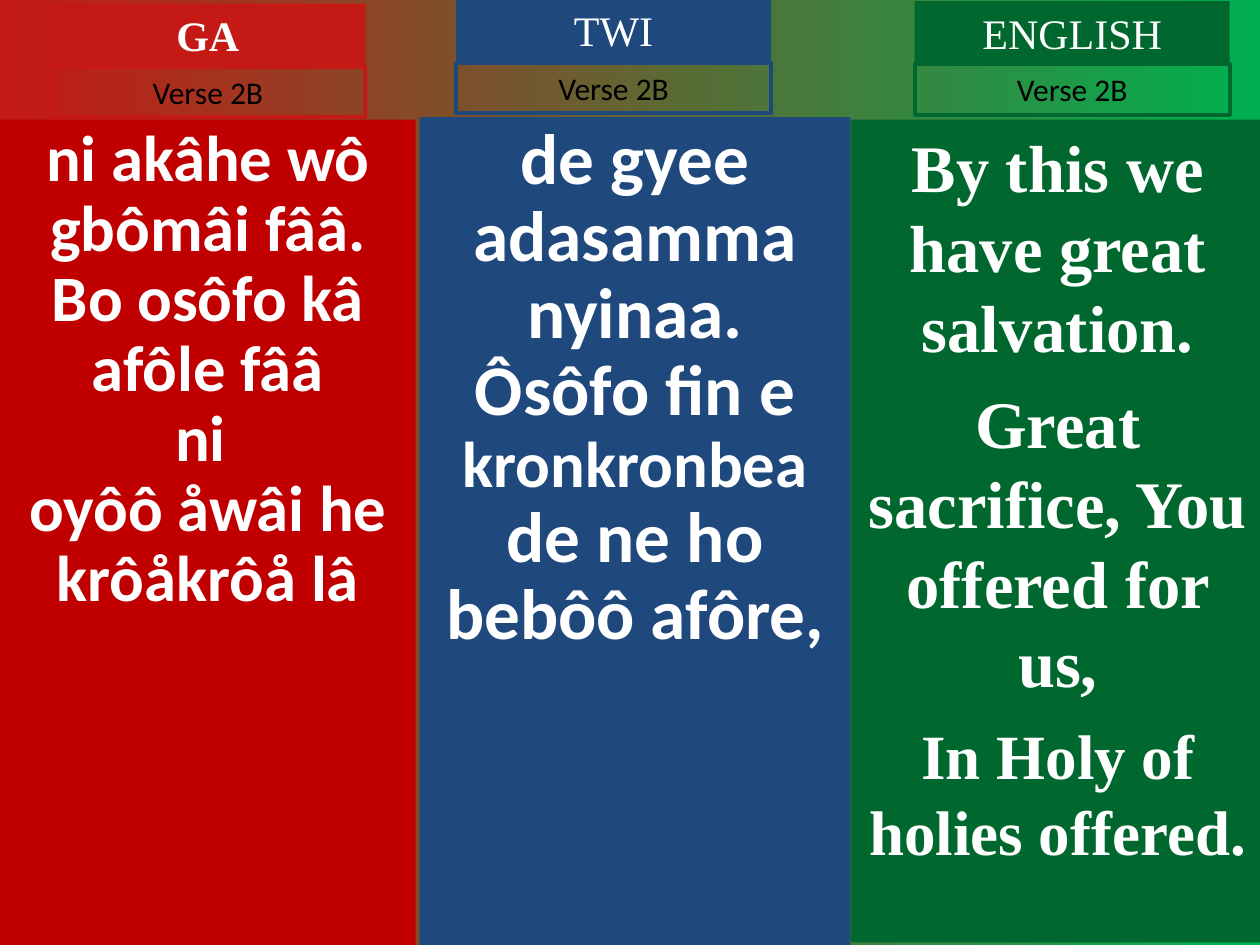
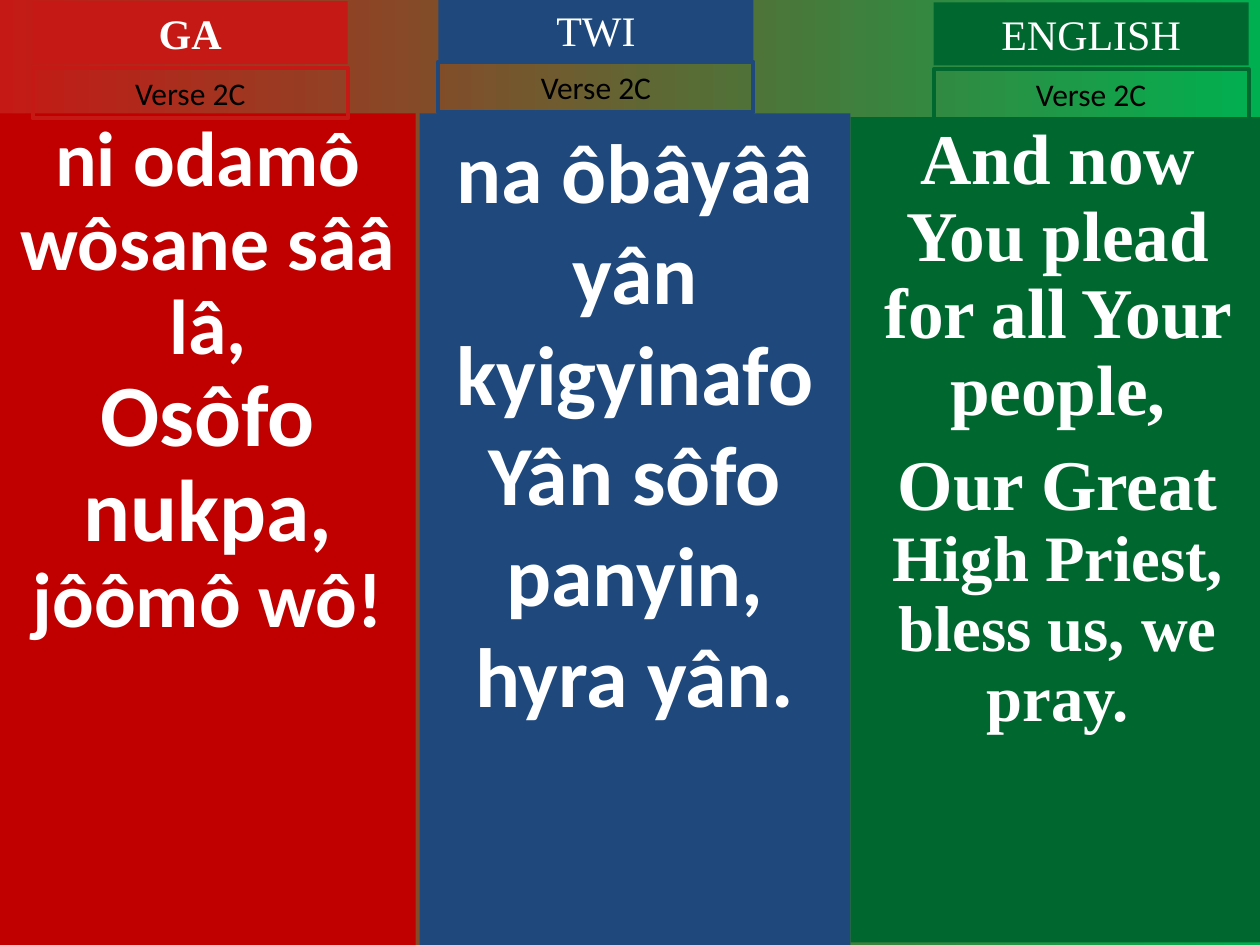
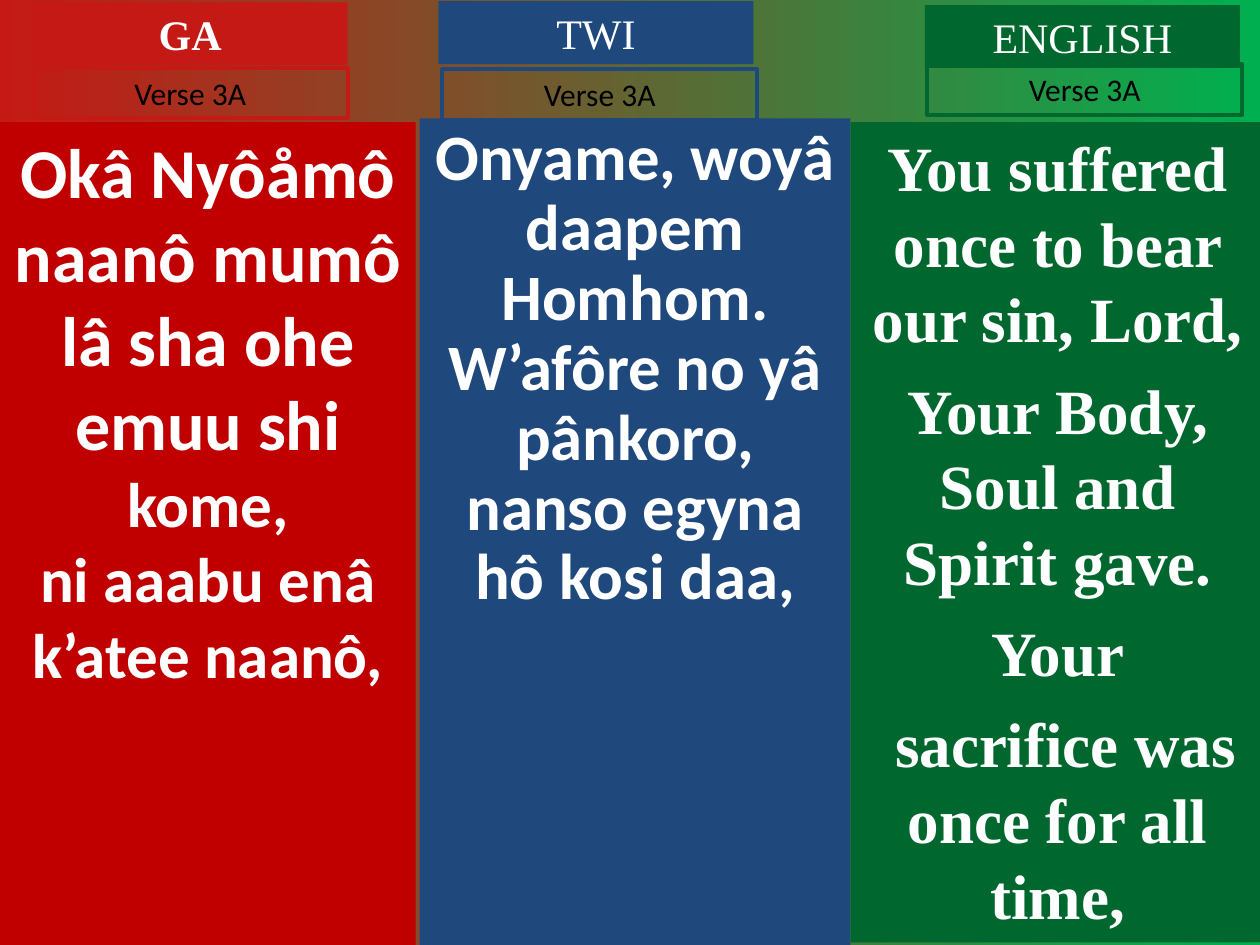
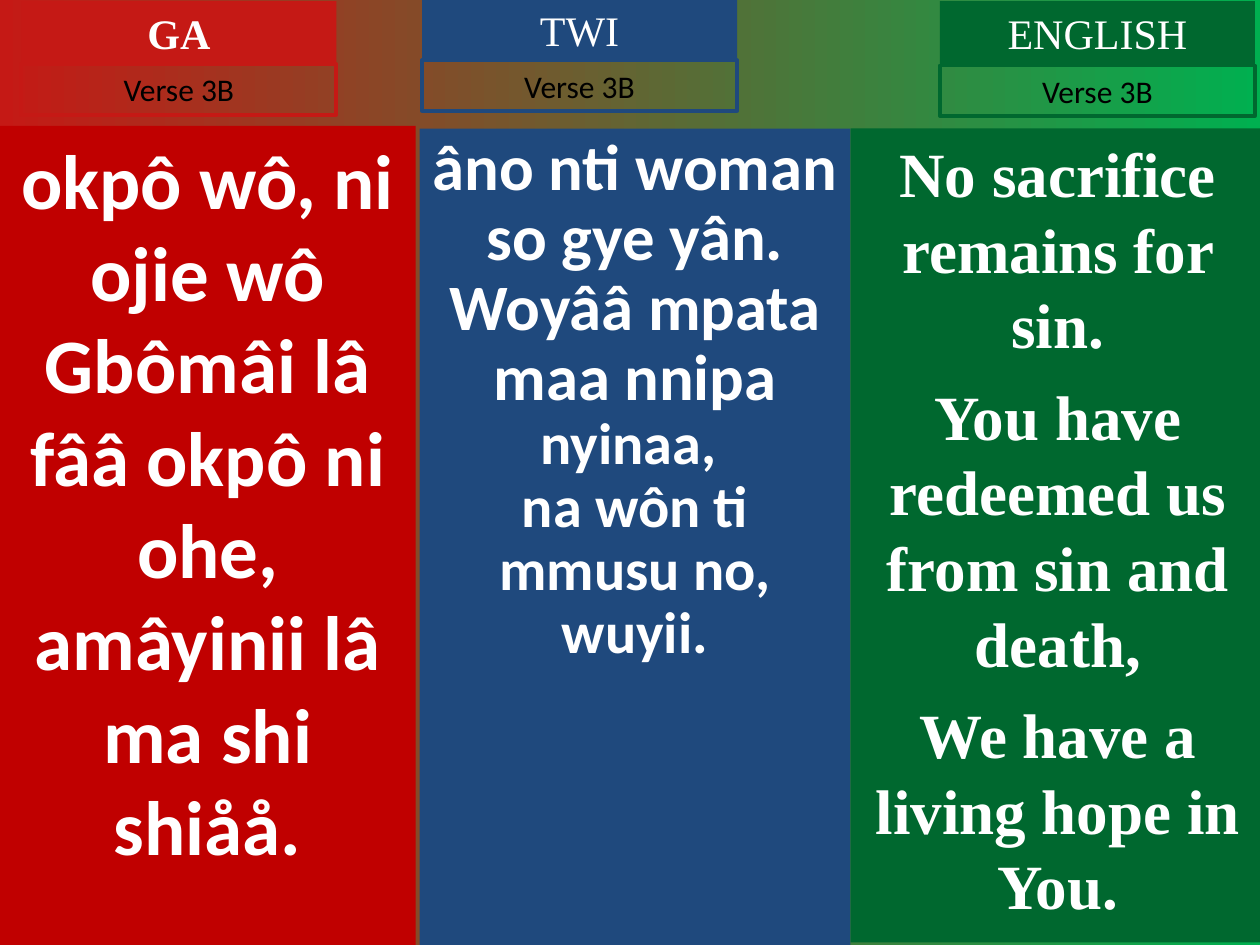
from dataclasses import dataclass

import pptx
import pptx.dml.color
import pptx.enum.shapes
import pptx.enum.text
import pptx.util

Inches = pptx.util.Inches
Pt = pptx.util.Pt
RGBColor = pptx.dml.color.RGBColor

RED = RGBColor(0xC5, 0x19, 0x15)
DARK_RED = RGBColor(0xC0, 0x00, 0x00)
BLUE = RGBColor(0x1F, 0x49, 0x7D)
GREEN = RGBColor(0x00, 0x68, 0x2F)
BRIGHT_GREEN = RGBColor(0x00, 0xB0, 0x50)
WHITE = RGBColor(0xFF, 0xFF, 0xFF)
BLACK = RGBColor(0x00, 0x00, 0x00)
SANS = "Calibri"
SERIF = "Times New Roman"
LABEL_WIDTH = 2.5
TAG_HEIGHT = 0.5
VERSE_HEIGHT = 0.4


@dataclass(frozen=True)
class Language:
    name: str
    left: float
    width: float
    bottom: float
    body_color: RGBColor
    label_color: RGBColor
    body_font: str
    bold_tag: bool = False
    space_ratio: float = 0


@dataclass(frozen=True)
class Words:
    text: str
    size: float


@dataclass(frozen=True)
class Column:
    body_top: float
    tag: tuple[float, float]
    verse: tuple[float, float]
    line_spacing: float
    paragraphs: list[list[Words]]


@dataclass(frozen=True)
class Verse:
    label: str
    columns: list[Column]


LANGUAGES = [
    Language("GA", 0, 3.3, 7.5, DARK_RED, RED, SANS, bold_tag=True),
    Language("TWI", 3.33, 3.42, 7.5, BLUE, BLUE, SANS),
    Language("ENGLISH", 6.75, 3.29, 7.48, GREEN, GREEN, SERIF, space_ratio=0.25),
]


def lines(size: float, *texts: str) -> list[list[Words]]:
    return [[Words(text, size)] for text in texts]


VERSES = [
    Verse("Verse 2B", [
        Column(0.95, (0.4, 0.03), (0.4, 0.53), 0.9, lines(
            37, "ni akâhe wô gbômâi fââ.", "Bo osôfo kâ afôle fââ", "ni ",
            "oyôô åwâi he krôåkrôå lâ")),
        Column(0.93, (3.62, -0.01), (3.62, 0.5), 0.9, [
            [Words("de gyee adasamma nyinaa.", 40.7)],
            [Words("Ôsôfo fin e ", 40.7), Words("kronkronbea", 37)],
            [Words("de ne ho bebôô afôre,", 40.7)]]),
        Column(0.95, (7.26, 0.01), (7.26, 0.51), 1, [
            *lines(38, "By this we have great salvation.",
                   "Great sacrifice, You offered for us,"),
            *lines(36, "In Holy of holies offered.")]),
    ]),
    Verse("Verse 2C", [
        Column(0.9, (0.26, 0.01), (0.26, 0.54), 0.9, [
            [Words("ni odamô wôsane sââ lâ,", 44.4)],
            [Words("Osôfo", 50)],
            [Words("nukpa, ", 50), Words("jôômô wô!", 44.4)]]),
        Column(0.9, (3.48, -0.01), (3.48, 0.49), 1, lines(
            48, "na ôbâyââ yân kyigyinafo", "Yân sôfo", "panyin, hyra yân.")),
        Column(0.93, (7.41, 0.02), (7.41, 0.55), 0.9, [
            [Words("And now You plead for all Your people,", 40.7)],
            [Words("Our Great ", 40.7),
             Words("High Priest, bless us, we pray.", 37)]]),
    ]),
    Verse("Verse 3A", [
        Column(0.97, (0.26, 0.02), (0.26, 0.54), 1, [
            [Words("Okâ Nyôåmô naanô mumô lâ sha ohe emuu shi ", 40),
             Words("kome,", 36)],
            [Words("ni aaabu enâ k’atee naanô,", 36)]]),
        Column(0.94, (3.48, 0.01), (3.51, 0.55), 0.9, lines(
            37, "Onyame, woyâ daapem Homhom.", "W’afôre no yâ pânkoro,",
            "nanso egyna hô kosi daa,")),
        Column(0.97, (7.34, 0.04), (7.36, 0.51), 1, lines(
            36, "You suffered once to bear our sin, Lord,",
            "Your Body, Soul and Spirit gave.", "Your",
            " sacrifice was once for all time,")),
    ]),
    Verse("Verse 3B", [
        Column(1, (0.17, 0.01), (0.17, 0.51), 1, lines(
            44, "okpô wô, ni ojie wô", "Gbômâi lâ fââ okpô ni ohe,",
            "amâyinii lâ ma shi shiåå.")),
        Column(1.02, (3.35, -0.01), (3.35, 0.48), 0.9, [
            [Words("âno nti woman so gye yân.", 37)],
            [Words("Woyââ mpata maa nnipa ", 37), Words("nyinaa, ", 33.3)],
            [Words("na wôn ti mmusu no, wuyii.", 33.3)]]),
        Column(1.02, (7.46, 0.01), (7.46, 0.52), 1, lines(
            36, "No sacrifice remains for sin.",
            "You have redeemed us from sin and death,",
            "We have a living hope in You.")),
    ]),
]


def add_box(slide, left: float, top: float, width: float, height: float,
            fill: RGBColor | None = None, line: RGBColor | None = None):
    sp = slide.shapes.add_shape(
        pptx.enum.shapes.MSO_SHAPE.RECTANGLE,
        Inches(left), Inches(top), Inches(width), Inches(height))
    sp.shadow.inherit = False
    if fill is None:
        sp.fill.background()
    else:
        sp.fill.solid()
        sp.fill.fore_color.rgb = fill
    if line is None:
        sp.line.fill.background()
    else:
        sp.line.color.rgb = line
        sp.line.width = Pt(2.25)
    tf = sp.text_frame
    tf.word_wrap = True
    tf.vertical_anchor = pptx.enum.text.MSO_ANCHOR.TOP
    return tf


def write(tf, paragraphs: list[list[Words]], font: str, color: RGBColor, bold: bool,
          line_spacing: float = 1, space_ratio: float = 0) -> None:
    for i, words in enumerate(paragraphs):
        p = tf.add_paragraph() if i else tf.paragraphs[0]
        p.alignment = pptx.enum.text.PP_ALIGN.CENTER
        p.line_spacing = line_spacing
        p.space_before = Pt(words[0].size * space_ratio if i else 0)
        for word in words:
            r = p.add_run()
            r.text = word.text
            r.font.name = font
            r.font.size = Pt(word.size)
            r.font.bold = bold
            r.font.color.rgb = color


def add_column(slide, language: Language, column: Column, label: str) -> None:
    tf = add_box(slide, language.left, column.body_top, language.width,
                 language.bottom - column.body_top, fill=language.body_color)
    write(tf, column.paragraphs, language.body_font, WHITE, True,
          column.line_spacing, language.space_ratio)

    tag = add_box(slide, *column.tag, LABEL_WIDTH, TAG_HEIGHT, fill=language.label_color)
    write(tag, lines(24, language.name), SERIF, WHITE, language.bold_tag)
    verse = add_box(slide, *column.verse, LABEL_WIDTH, VERSE_HEIGHT,
                    line=language.label_color)
    write(verse, lines(18, label), SANS, BLACK, False)
    for tf in (tag, verse):
        tf.auto_size = pptx.enum.text.MSO_AUTO_SIZE.SHAPE_TO_FIT_TEXT


def set_background(master) -> None:
    fill = master.background.fill
    fill.gradient()
    fill.gradient_angle = 0
    for stop, color in zip(fill.gradient_stops, (RED, BRIGHT_GREEN)):
        stop.color.rgb = color


def main() -> None:
    prs = pptx.Presentation()
    prs.slide_width = Inches(10)
    prs.slide_height = Inches(7.5)
    set_background(prs.slide_master)
    blank = prs.slide_layouts.get_by_name("Blank")
    for verse in VERSES:
        slide = prs.slides.add_slide(blank)
        for language, column in zip(LANGUAGES, verse.columns):
            add_column(slide, language, column, verse.label)
    prs.save("out.pptx")


if __name__ == "__main__":
    main()
